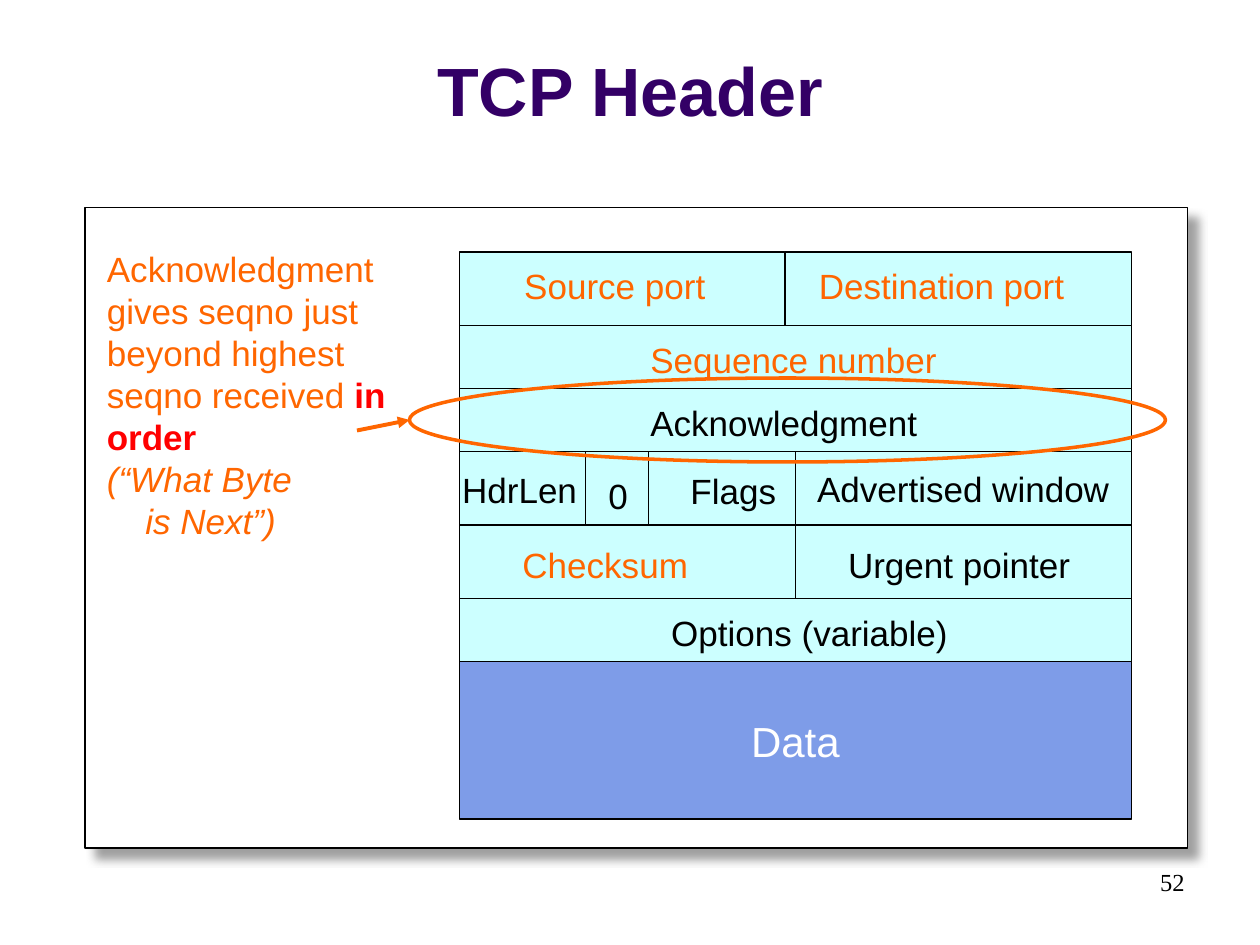
from lxml import etree
from pptx import Presentation
from pptx.dml.color import RGBColor
from pptx.enum.shapes import MSO_CONNECTOR, MSO_SHAPE
from pptx.enum.text import MSO_ANCHOR, MSO_AUTO_SIZE, PP_ALIGN
from pptx.oxml.ns import qn
from pptx.util import Pt

RECTANGLE, OVAL = MSO_SHAPE.RECTANGLE, MSO_SHAPE.OVAL
LEFT, CENTER, RIGHT = PP_ALIGN.LEFT, PP_ALIGN.CENTER, PP_ALIGN.RIGHT
TOP, MIDDLE, BOTTOM = MSO_ANCHOR.TOP, MSO_ANCHOR.MIDDLE, MSO_ANCHOR.BOTTOM
GROW = MSO_AUTO_SIZE.SHAPE_TO_FIT_TEXT

BLACK, WHITE, ORANGE, RED = "000000", "FFFFFF", "FF6600", "FF0000"
PURPLE, CYAN, BLUE = "330066", "CCFFFF", "7E9CE8"

HEADER_LEFT, HEADER_TOP, HEADER_WIDTH = 262.5, 144, 384
HALF = HEADER_WIDTH / 2

# Each row: height, cell widths, labels.
# Each label: text, colour, left, distance below the row top, width.
HEADER_ROWS = [
    (42, [186, 198], [("Source port", ORANGE, 292.5, 3.6, 122),
                      ("Destination port", ORANGE, 460.8, 3.6, 159)]),
    (36, [HEADER_WIDTH], [("Sequence number", ORANGE, 364.5, 4, 184)]),
    (36, [HEADER_WIDTH], [("Acknowledgment", BLACK, 364.5, 4, 171)]),
    (42, [HALF, HALF], [("Advertised window", BLACK, 459.8, 5.5, 186),
                        ("HdrLen", BLACK, 257, 6.2, 84),
                        ("Flags", BLACK, 387.5, 7, 67),
                        ("0", BLACK, 340.5, 9.8, 29)]),
    (42, [HALF, HALF], [("Checksum", ORANGE, 291.5, 7, 113),
                        ("Urgent pointer", BLACK, 477.5, 7, 146)]),
    (36, [HEADER_WIDTH], [("Options (variable)", BLACK, 376.5, 4, 177)]),
]
DATA_HEIGHT = 90
FLAG_ROW = 3
FLAG_DIVIDERS = [334.5, 370.5]

NOTE = [
    (0, [("Acknowledgment gives seqno just beyond highest seqno received ",
          {"color": ORANGE}),
         ("in order", {"color": RED, "bold": True})]),
    (0, [("(“What Byte", {"color": ORANGE, "italic": True})]),
    (22, [("is Next”)", {"color": ORANGE, "italic": True})]),
]


def rgb(color):
    return RGBColor.from_string(color)


def write(paragraph, text, color=BLACK, size=20, font="Arial", bold=False,
          italic=False, align=LEFT, spacing=None):
    """Append a formatted run to a paragraph."""
    paragraph.alignment = align
    if spacing:
        paragraph.line_spacing = Pt(spacing)
    run = paragraph.add_run()
    run.text = text
    run.font.name, run.font.size = font, Pt(size)
    run.font.bold, run.font.italic = bold, italic
    run.font.color.rgb = rgb(color)


def add_box(slide, kind, left, top, width, height, fill=None, line=BLACK,
            weight=0.75):
    shape = slide.shapes.add_shape(kind, Pt(left), Pt(top), Pt(width), Pt(height))
    shape.shadow.inherit = False
    if fill:
        shape.fill.solid()
        shape.fill.fore_color.rgb = rgb(fill)
    else:
        shape.fill.background()
    shape.line.color.rgb = rgb(line)
    shape.line.width = Pt(weight)
    return shape


def add_text_frame(slide, left, top, width, height):
    box = slide.shapes.add_textbox(Pt(left), Pt(top), Pt(width), Pt(height))
    box.text_frame.word_wrap = True
    box.text_frame.auto_size = GROW
    return box.text_frame


def add_line(slide, start, end, color=BLACK, weight=0.75, arrow=False):
    connector = slide.shapes.add_connector(
        MSO_CONNECTOR.STRAIGHT, *(Pt(value) for value in (*start, *end)))
    connector.line.color.rgb = rgb(color)
    connector.line.width = Pt(weight)
    if arrow:
        outline = connector._element.spPr.find(qn("a:ln"))
        etree.SubElement(outline, qn("a:tailEnd"), type="triangle")
    etree.SubElement(connector._element.spPr, qn("a:effectLst"))


def add_drop_shadow(shape):
    effects = shape._element.spPr.find(qn("a:effectLst"))
    shadow = etree.SubElement(
        effects, qn("a:outerShdw"), blurRad=str(Pt(5)), dist=str(Pt(8.5)),
        dir=str(45 * 60000), algn="ctr", rotWithShape="0")
    color = etree.SubElement(shadow, qn("a:srgbClr"), val="808080")
    etree.SubElement(color, qn("a:alpha"), val="75000")


def add_header(slide):
    top = HEADER_TOP
    for index, (height, widths, labels) in enumerate(HEADER_ROWS):
        left = HEADER_LEFT
        for width in widths:
            add_box(slide, RECTANGLE, left, top, width, height, CYAN)
            left += width
        if index == FLAG_ROW:
            for x in FLAG_DIVIDERS:
                add_line(slide, (x, top), (x, top + height))
        for text, color, label_left, offset, width in labels:
            frame = add_text_frame(slide, label_left, top + offset, width, 31)
            write(frame.paragraphs[0], text, color=color, spacing=24)
        top += height
    data = add_box(slide, RECTANGLE, HEADER_LEFT, top, HEADER_WIDTH,
                   DATA_HEIGHT, BLUE)
    data.text_frame.vertical_anchor = MIDDLE
    write(data.text_frame.paragraphs[0], "Data", color=WHITE, size=24,
          align=CENTER)


def add_note(slide):
    frame = add_text_frame(slide, 54, 138, 174, 201)
    for index, (indent, runs) in enumerate(NOTE):
        paragraph = frame.add_paragraph() if index else frame.paragraphs[0]
        if indent:
            paragraph._p.get_or_add_pPr().set("marL", str(Pt(indent)))
        for text, style in runs:
            write(paragraph, text, spacing=24, **style)


def main():
    presentation = Presentation()
    presentation.slide_width, presentation.slide_height = Pt(720), Pt(540)
    slide = presentation.slides.add_slide(presentation.slide_layouts[5])

    title = slide.shapes.title
    title.left, title.top, title.width, title.height = Pt(0), Pt(9.5), Pt(720), Pt(68.5)
    title.text_frame.vertical_anchor = BOTTOM
    write(title.text_frame.paragraphs[0], "TCP Header", color=PURPLE, size=39,
          bold=True, align=CENTER)

    number = add_text_frame(slide, 516, 492, 168, 36)
    number.auto_size = MSO_AUTO_SIZE.NONE
    number.vertical_anchor = TOP
    write(number.paragraphs[0], "52", size=14, font="Times New Roman", align=RIGHT)

    panel = add_box(slide, RECTANGLE, 48.5, 118.7, 630, 366, WHITE)
    add_drop_shadow(panel)
    add_header(slide)
    add_note(slide)
    add_box(slide, OVAL, 234, 216, 432, 48, line=ORANGE, weight=2)
    add_line(slide, (204, 246), (234, 240), color=ORANGE, weight=2.25, arrow=True)

    presentation.save("out.pptx")


if __name__ == "__main__":
    main()
